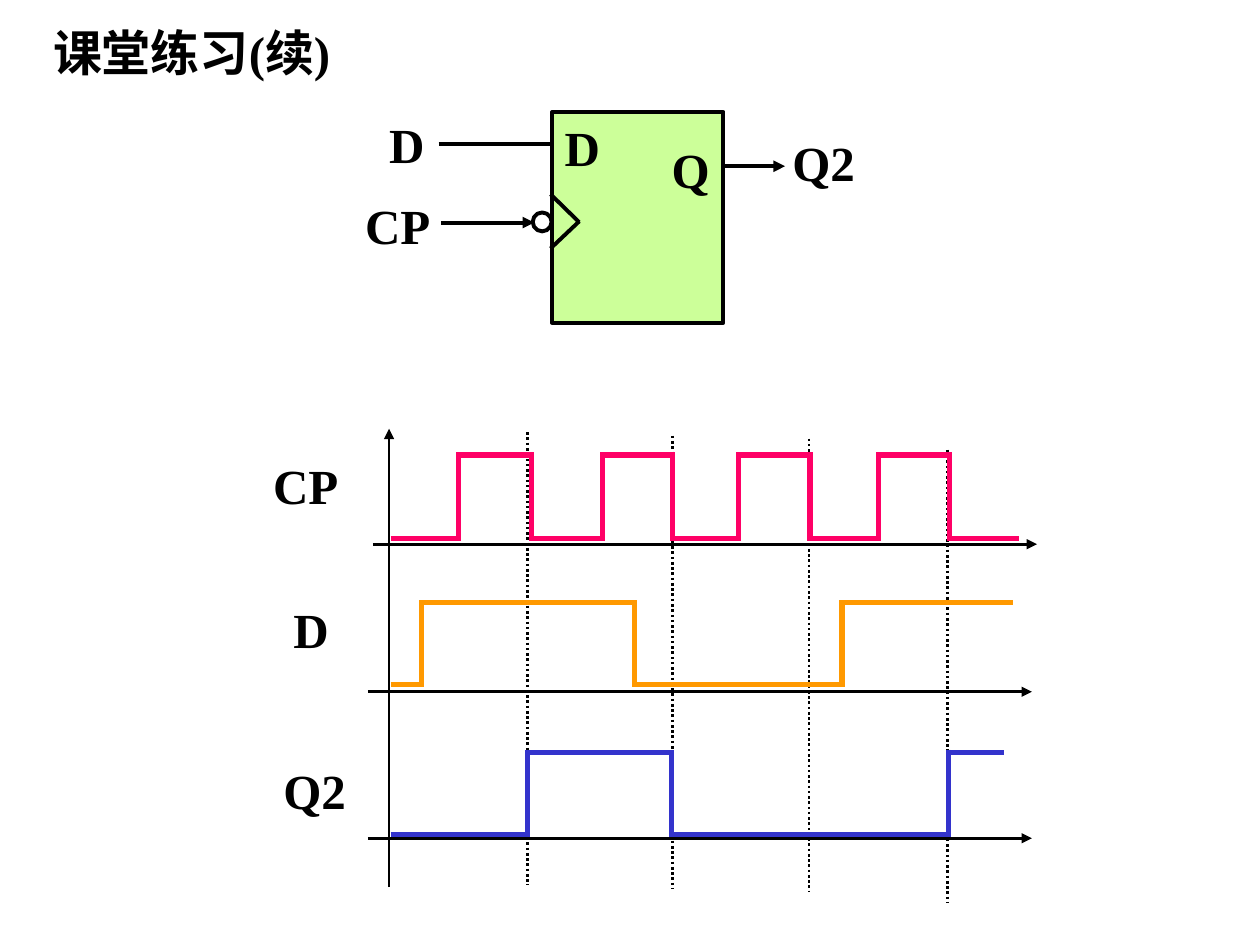
"""Build the D flip-flop classroom exercise slide with its timing diagram."""
from typing import NamedTuple

from lxml.etree import SubElement
from pptx import Presentation
from pptx.dml.color import RGBColor
from pptx.enum.dml import MSO_LINE
from pptx.enum.shapes import MSO_CONNECTOR, MSO_SHAPE
from pptx.enum.text import MSO_ANCHOR, MSO_AUTO_SIZE, PP_ALIGN
from pptx.oxml.ns import qn
from pptx.util import Pt

BLACK = RGBColor(0x00, 0x00, 0x00)
WHITE = RGBColor(0xFF, 0xFF, 0xFF)
GREEN = RGBColor(0xCC, 0xFF, 0x99)
PINK = RGBColor(0xFF, 0x00, 0x66)
ORANGE = RGBColor(0xFF, 0x99, 0x00)
BLUE = RGBColor(0x33, 0x33, 0xCC)
FONT = "Times New Roman"
TEXT_HEIGHT = 41
BLOCK_PEN = 2.25
AXIS_PEN = 1.5
WAVE_PEN = 3


class Label(NamedTuple):
    text: str
    left: float
    top: float
    width: float
    centered: bool = False


class Line(NamedTuple):
    x1: float
    y1: float
    x2: float
    y2: float
    arrow: bool = False


class Wave(NamedTuple):
    color: RGBColor
    low: float
    high: float
    start: float
    edges: tuple[float, ...]
    end: float


LABELS = (
    Label("课堂练习(续)", 13, 9.4, 193, True),
    Label("Q2", 445.7, 72, 57),
    Label("D", 315.4, 63.4, 34.6, True),
    Label("Q", 376.6, 76.3, 36, True),
    Label("D", 215.3, 61.9, 41),
    Label("CP", 201.6, 108, 52.6),
    Label("CP", 149, 257, 54),
    Label("D", 160.6, 339.1, 48.2),
    Label("Q2", 154.8, 431.3, 54),
)
WIRES = (
    Line(250.6, 82.1, 314.6, 82.1),
    Line(252, 127.2, 305.3, 127.2, True),
    Line(314.6, 111, 331, 127),
    Line(331, 126.5, 314.6, 142),
    Line(413.3, 95, 448.6, 95, True),
)
AXES = (
    Line(213.1, 311, 592.6, 311, True),
    Line(210.2, 395.3, 589.7, 395.3, True),
    Line(210.2, 479, 589.7, 479, True),
    Line(222.3, 507, 222.3, 245, True),
)
FALLING_EDGES = ((301.5, 247), (384.3, 249), (462.3, 250.6), (541.5, 257))
GUIDE_HEIGHT = 259
WAVES = (
    Wave(PINK, 307.6, 260, 223.2,
         (262, 303.6, 344.4, 384.1, 422.2, 462.8, 502, 542.6), 582.5),
    Wave(ORANGE, 391.2, 344.4, 223.2, (240.7, 362.4, 481.2), 579),
    Wave(BLUE, 477, 430, 223.2, (301.6, 383.9, 542), 573.8),
)


def add_text(s, label: Label, *, size: float = 28, color: RGBColor = BLACK,
             bold: bool = True) -> None:
    """Add one text box in the given format."""
    box = s.shapes.add_textbox(Pt(label.left), Pt(label.top),
                               Pt(label.width), Pt(TEXT_HEIGHT))
    tf = box.text_frame
    tf.word_wrap = not label.centered
    tf.auto_size = MSO_AUTO_SIZE.SHAPE_TO_FIT_TEXT
    tf.vertical_anchor = MSO_ANCHOR.MIDDLE if label.centered else MSO_ANCHOR.TOP
    p = tf.paragraphs[0]
    p.alignment = PP_ALIGN.CENTER if label.centered else PP_ALIGN.LEFT
    r = p.add_run()
    r.text = label.text
    r.font.name = FONT
    r.font.size = Pt(size)
    r.font.bold = bold
    r.font.color.rgb = color


def add_line(s, line: Line, pen: float, color: RGBColor = BLACK,
             dash: MSO_LINE | None = None) -> None:
    """Draw a straight line, with an arrowhead or dashes if asked."""
    c = s.shapes.add_connector(MSO_CONNECTOR.STRAIGHT, Pt(line.x1), Pt(line.y1),
                               Pt(line.x2), Pt(line.y2))
    c.line.width = Pt(pen)
    c.line.color.rgb = color
    if dash is not None:
        c.line.dash_style = dash
    sp_pr = c._element.spPr
    if line.arrow:
        SubElement(sp_pr.find(qn("a:ln")), qn("a:tailEnd"), type="triangle")
    SubElement(sp_pr, qn("a:effectLst"))


def add_outlined(s, kind: MSO_SHAPE, left: float, top: float, width: float,
                 height: float, fill: RGBColor) -> None:
    """Draw a filled shape with a black outline."""
    sp = s.shapes.add_shape(kind, Pt(left), Pt(top), Pt(width), Pt(height))
    sp.shadow.inherit = False
    sp.fill.solid()
    sp.fill.fore_color.rgb = fill
    sp.line.color.rgb = BLACK
    sp.line.width = Pt(BLOCK_PEN)


def add_wave(s, wave: Wave) -> None:
    """Draw a square wave that starts low and toggles at each edge."""
    half = WAVE_PEN / 2
    stops = (wave.start, *wave.edges, wave.end)
    for i, (x1, x2) in enumerate(zip(stops, stops[1:])):
        y = wave.high if i % 2 else wave.low
        add_line(s, Line(x1, y, x2, y), WAVE_PEN, wave.color)
    for x in wave.edges:
        add_line(s, Line(x, wave.high - half, x, wave.low + half),
                 WAVE_PEN, wave.color)


def main() -> None:
    """Assemble and save the slide."""
    prs = Presentation()
    prs.slide_width, prs.slide_height = Pt(720), Pt(540)
    s = prs.slides.add_slide(prs.slide_layouts[6])
    add_outlined(s, MSO_SHAPE.RECTANGLE, 315.4, 64, 98, 120.4, GREEN)
    for wire in WIRES:
        add_line(s, wire, BLOCK_PEN)
    add_outlined(s, MSO_SHAPE.OVAL, 304.4, 121.4, 10.8, 10.8, WHITE)
    for label in LABELS:
        add_text(s, label)
    for x, top in FALLING_EDGES:
        add_line(s, Line(x, top, x, top + GUIDE_HEIGHT), AXIS_PEN,
                 dash=MSO_LINE.ROUND_DOT)
    for axis in AXES:
        add_line(s, axis, AXIS_PEN)
    for wave in WAVES:
        add_wave(s, wave)
    prs.save("out.pptx")


if __name__ == "__main__":
    main()
